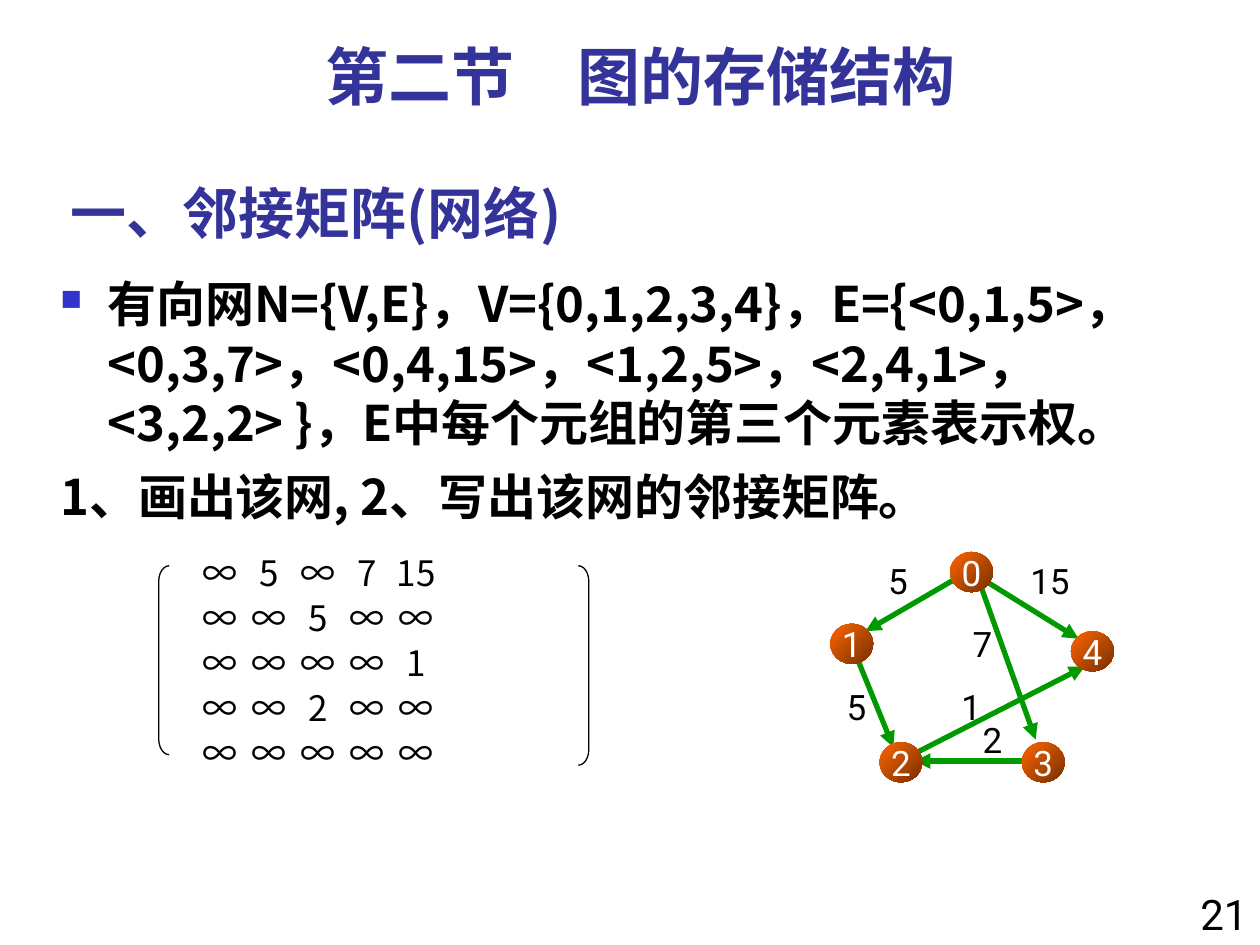
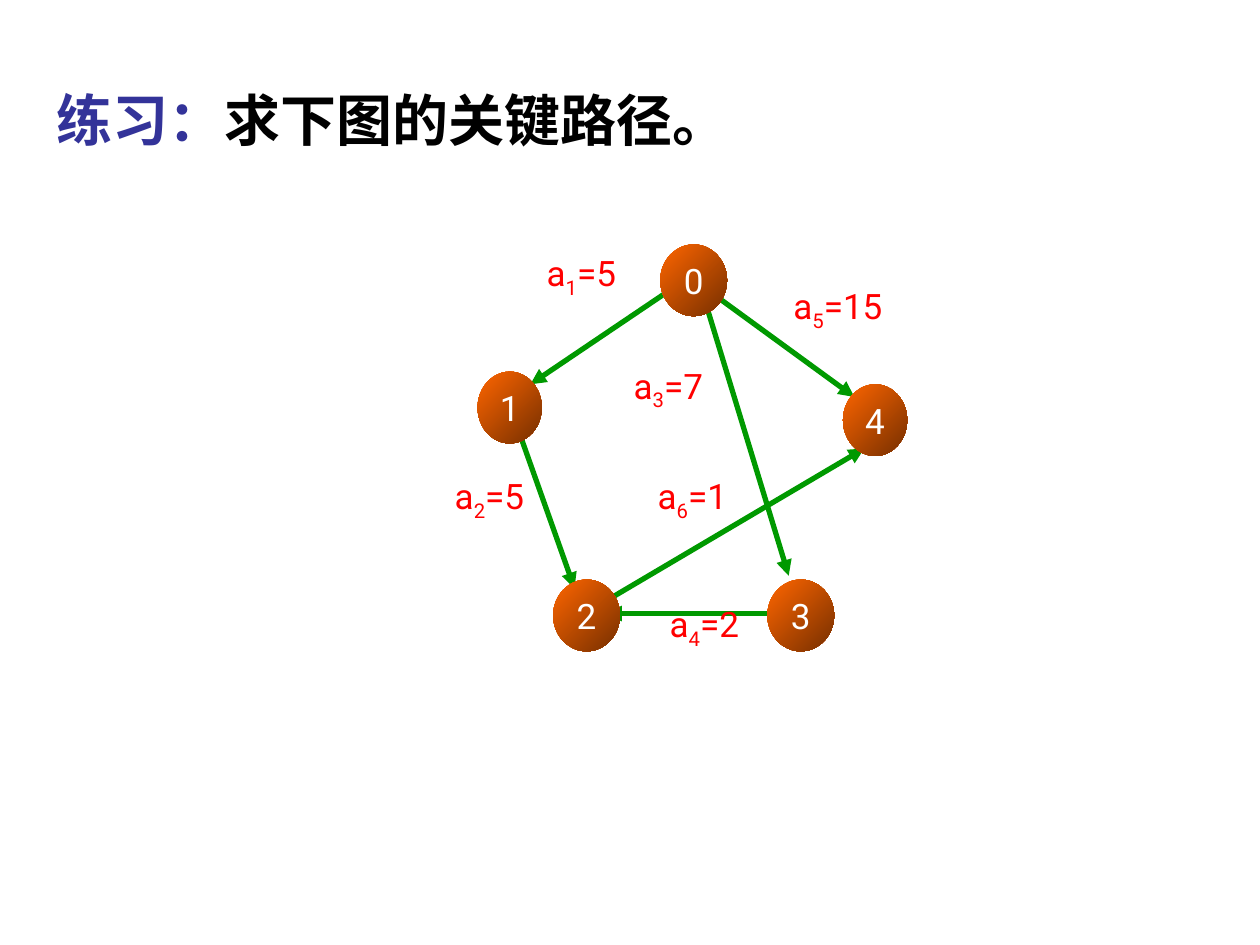
from dataclasses import dataclass

from lxml import etree
from pptx import Presentation, util as u
from pptx.dml.color import RGBColor
from pptx.enum import shapes, text
from pptx.oxml import ns

TITLE_BLUE = RGBColor(0x33, 0x33, 0x99)
BULLET_BLUE = RGBColor(0x33, 0x33, 0xCC)
BLACK = RGBColor(0, 0, 0)
WHITE = RGBColor(255, 255, 255)
RED = RGBColor(255, 0, 0)
EDGE_GREEN = RGBColor(0, 0x99, 0)
NODE_LIGHT = RGBColor(0xFF, 0x66, 0)
NODE_DARK = RGBColor(0x76, 0x2F, 0)

CJK_FONT = "Noto Sans CJK SC"
LATIN_FONT = "Roboto"


@dataclass
class Style:
    size: float
    color: RGBColor = BLACK
    bold: bool = False
    font: str = CJK_FONT


@dataclass
class Box:
    left: float
    top: float
    width: float
    height: float

    def lengths(self) -> list:
        return [u.Pt(value) for value in (self.left, self.top, self.width, self.height)]


@dataclass
class Node:
    name: str
    box: Box


@dataclass
class Edge:
    start: tuple[float, float]
    end: tuple[float, float]


@dataclass
class Label:
    """Text beside an edge; every second piece is a subscript."""
    pieces: tuple[str, ...]
    box: Box


@dataclass
class Graph:
    nodes: list[Node]
    edges: list[Edge]
    labels: list[Label]
    label_color: RGBColor


NODE_STYLE = Style(20, WHITE, font=LATIN_FONT)
HEADING = Style(32, TITLE_BLUE, True)
BODY = Style(28, bold=True)

NETWORK = Graph(
    nodes=[Node(name, Box(left, top, 24.5, 23)) for name, left, top in (
        ("0", 542.9, 315.4), ("1", 474.5, 356.4), ("2", 502.6, 424.1),
        ("3", 583.9, 424.1), ("4", 612, 360.7))],
    edges=[
        Edge((563, 331.9), (616.3, 365)),
        Edge((490.3, 377.3), (510.5, 427)),
        Edge((551.5, 327.6), (494.6, 360.7)),
        Edge((559.4, 331.9), (591.8, 422.6)),
        Edge((583.9, 434.9), (522.7, 434.9)),
        Edge((522.7, 430.6), (619.9, 380.9)),
    ],
    labels=[Label((weight,), Box(left, top, width, 31)) for weight, left, top, width in (
        ("5", 498.2, 316.1, 30), ("5", 474.5, 388.1, 30), ("15", 576, 316.1, 48),
        ("1", 540, 388.1, 30), ("7", 546.5, 352.1, 30), ("2", 552.2, 406.8, 30))],
    label_color=BLACK,
)

ACTIVITIES = Graph(
    nodes=[Node(name, Box(left, top, width, 41)) for name, left, top, width in (
        ("0", 377.3, 139.7, 38.2), ("1", 272.9, 212.4, 36.7), ("2", 316.1, 331.2, 38.2),
        ("3", 438.5, 331.2, 38.2), ("4", 481.7, 219.6, 36.7))],
    edges=[
        Edge((408.2, 168.5), (488.2, 226.8)),
        Edge((297.4, 249.1), (328.3, 336.2)),
        Edge((389.5, 161.3), (303.1, 219.6)),
        Edge((401.8, 168.5), (450.7, 329)),
        Edge((438.5, 350.6), (346.3, 350.6)),
        Edge((346.3, 343.4), (493.9, 256.3)),
    ],
    labels=[Label(("a", number, f"={weight}"), Box(left, top, width, 48))
            for number, weight, left, top, width in (
        ("1", 5, 288.7, 140.4, 87), ("2", 5, 241.2, 267.8, 77), ("3", 7, 336.2, 204.5, 91.4),
        ("4", 2, 360, 340.6, 85), ("5", 15, 439.2, 159.1, 79.2), ("6", 1, 352.1, 267.8, 87))],
    label_color=RED,
)

MATRIX = ["∞ 5 ∞ 7 15", "∞ ∞ 5 ∞ ∞", "∞ ∞ ∞ ∞ 1", "∞ ∞ 2 ∞ ∞", "∞ ∞ ∞ ∞ ∞"]
MATRIX_TABS = [10 + 28 * column for column in range(1, 5)]


def add_element(parent, tag: str, **attributes):
    element = etree.SubElement(parent, ns.qn(tag))
    for name, value in attributes.items():
        element.set(name, str(value))
    return element


def format_run(run, style: Style) -> None:
    run.font.size = u.Pt(style.size)
    run.font.bold = style.bold
    run.font.color.rgb = style.color
    run.font.name = style.font
    add_element(run._r.get_or_add_rPr(), "a:ea", typeface=CJK_FONT)


def add_text(slide, box: Box, lines: list[str], style: Style,
             align=text.PP_ALIGN.LEFT, anchor=text.MSO_ANCHOR.TOP):
    frame = slide.shapes.add_textbox(*box.lengths()).text_frame
    frame.word_wrap = True
    frame.vertical_anchor = anchor
    frame.text = "\n".join(lines)
    for paragraph in frame.paragraphs:
        paragraph.alignment = align
        for run in paragraph.runs:
            format_run(run, style)
    return frame


def set_spacing(frame, line: float, before: float) -> None:
    for index, paragraph in enumerate(frame.paragraphs):
        paragraph.line_spacing = u.Pt(line)
        if index:
            paragraph.space_before = u.Pt(before)


def add_edge(slide, edge: Edge) -> None:
    connector = slide.shapes.add_connector(
        shapes.MSO_CONNECTOR.STRAIGHT, *(u.Pt(value) for value in edge.start + edge.end))
    connector.line.color.rgb = EDGE_GREEN
    connector.line.width = u.Pt(3)
    add_element(connector.line._get_or_add_ln(), "a:tailEnd", type="triangle")
    add_element(connector._element.spPr, "a:effectLst")


def add_node(slide, node: Node) -> None:
    shape = slide.shapes.add_shape(shapes.MSO_SHAPE.OVAL, *node.box.lengths())
    shape.shadow.inherit = False
    shape.line.fill.background()
    shape.fill.gradient()
    shape.fill.gradient_angle = 315
    for stop, color in zip(shape.fill.gradient_stops, (NODE_LIGHT, NODE_DARK)):
        stop.color.rgb = color
    frame = shape.text_frame
    frame.margin_left = frame.margin_right = 0
    frame.word_wrap = False
    frame.vertical_anchor = text.MSO_ANCHOR.MIDDLE
    frame.text = node.name
    frame.paragraphs[0].alignment = text.PP_ALIGN.CENTER
    format_run(frame.paragraphs[0].runs[0], NODE_STYLE)


def add_label(slide, label: Label, color: RGBColor) -> None:
    style = Style(20, color, font=LATIN_FONT)
    first, *others = label.pieces
    paragraph = add_text(slide, label.box, [first], style, text.PP_ALIGN.CENTER).paragraphs[0]
    for index, piece in enumerate(others):
        run = paragraph.add_run()
        run.text = piece
        format_run(run, style)
        if index % 2 == 0:
            run._r.get_or_add_rPr().set("baseline", "-25000")


def add_graph(slide, graph: Graph) -> None:
    for edge in graph.edges:
        add_edge(slide, edge)
    for node in graph.nodes:
        add_node(slide, node)
    for label in graph.labels:
        add_label(slide, label, graph.label_color)


def add_bracket(slide, kind, box: Box) -> None:
    bracket = slide.shapes.add_shape(kind, *box.lengths())
    bracket.shadow.inherit = False
    bracket.fill.background()
    bracket.line.color.rgb = BLACK
    bracket.line.width = u.Pt(0.75)
    bracket.adjustments[0] = 1.5


def add_matrix(slide) -> None:
    add_bracket(slide, shapes.MSO_SHAPE.LEFT_BRACKET, Box(90.7, 323.3, 6, 108))
    add_bracket(slide, shapes.MSO_SHAPE.RIGHT_BRACKET, Box(330.5, 323.3, 6, 114))
    rows = [row.replace(" ", "\t") for row in MATRIX]
    frame = add_text(slide, Box(108.7, 313.9, 216, 134.6), rows, Style(20))
    set_spacing(frame, 21.7, 4)
    for paragraph in frame.paragraphs:
        tabs = add_element(paragraph._p.get_or_add_pPr(), "a:tabLst")
        for position in MATRIX_TABS:
            add_element(tabs, "a:tab", pos=u.Pt(position), algn="ctr")


def add_exercise(slide) -> None:
    frame = add_text(slide, Box(27.4, 152.6, 690, 150), [
        "有向网N={V,E}，V={0,1,2,3,4}，E={<0,1,5>，<0,3,7>，<0,4,15>，<1,2,5>，<2,4,1>，"
        "<3,2,2> }，E中每个元组的第三个元素表示权。",
        "1、画出该网, 2、写出该网的邻接矩阵。"], BODY)
    set_spacing(frame, 34, 8)
    for paragraph in frame.paragraphs:
        properties = paragraph._p.get_or_add_pPr()
        properties.set("marL", str(u.Pt(27)))
        properties.set("indent", str(u.Pt(-27)))
    bullet = frame.paragraphs[0]._p.get_or_add_pPr()
    add_element(add_element(bullet, "a:buClr"), "a:srgbClr", val=BULLET_BLUE)
    add_element(bullet, "a:buSzPct", val=60000)
    add_element(bullet, "a:buChar", char="■")


def build_storage_slide(slide) -> None:
    title = add_text(slide, Box(33.1, 15.1, 666, 50.4), ["第二节　图的存储结构"],
                     Style(36, TITLE_BLUE, True, LATIN_FONT), text.PP_ALIGN.CENTER)
    set_spacing(title, 46, 0)
    add_text(slide, Box(33.1, 90, 522, 54), ["一、邻接矩阵(网络)"], HEADING,
             anchor=text.MSO_ANCHOR.BOTTOM)
    add_exercise(slide)
    add_graph(slide, NETWORK)
    add_matrix(slide)
    add_text(slide, Box(671.8, 504, 48.2, 36), ["21"], Style(24, font=LATIN_FONT),
             text.PP_ALIGN.RIGHT)


def build_critical_path_slide(slide) -> None:
    frame = add_text(slide, Box(25.2, 29, 646.6, 62), ["练习："], HEADING,
                     anchor=text.MSO_ANCHOR.BOTTOM)
    task = frame.paragraphs[0].add_run()
    task.text = "求下图的关键路径。"
    format_run(task, Style(32, bold=True))
    add_graph(slide, ACTIVITIES)


def main() -> None:
    presentation = Presentation()
    presentation.slide_width, presentation.slide_height = u.Pt(720), u.Pt(540)
    blank = presentation.slide_layouts[6]
    for build in (build_storage_slide, build_critical_path_slide):
        build(presentation.slides.add_slide(blank))
    presentation.save("out.pptx")


if __name__ == "__main__":
    main()
